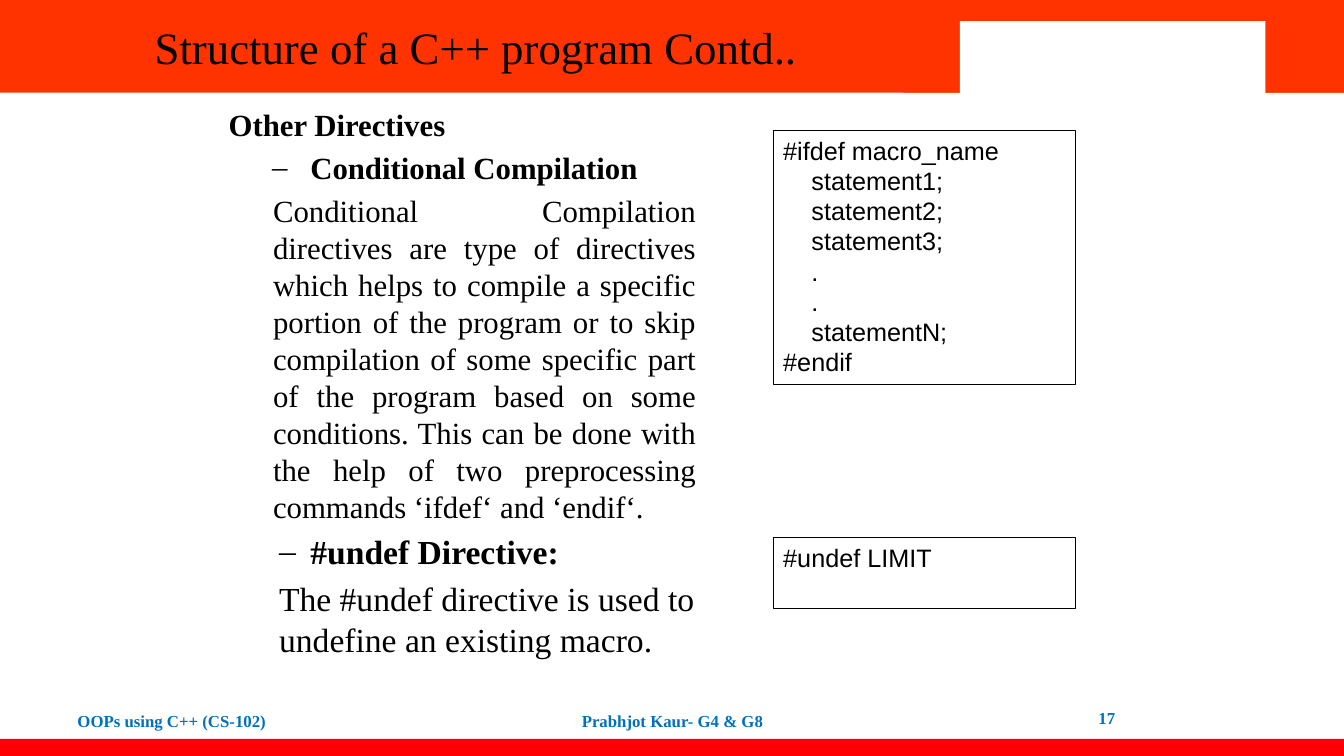
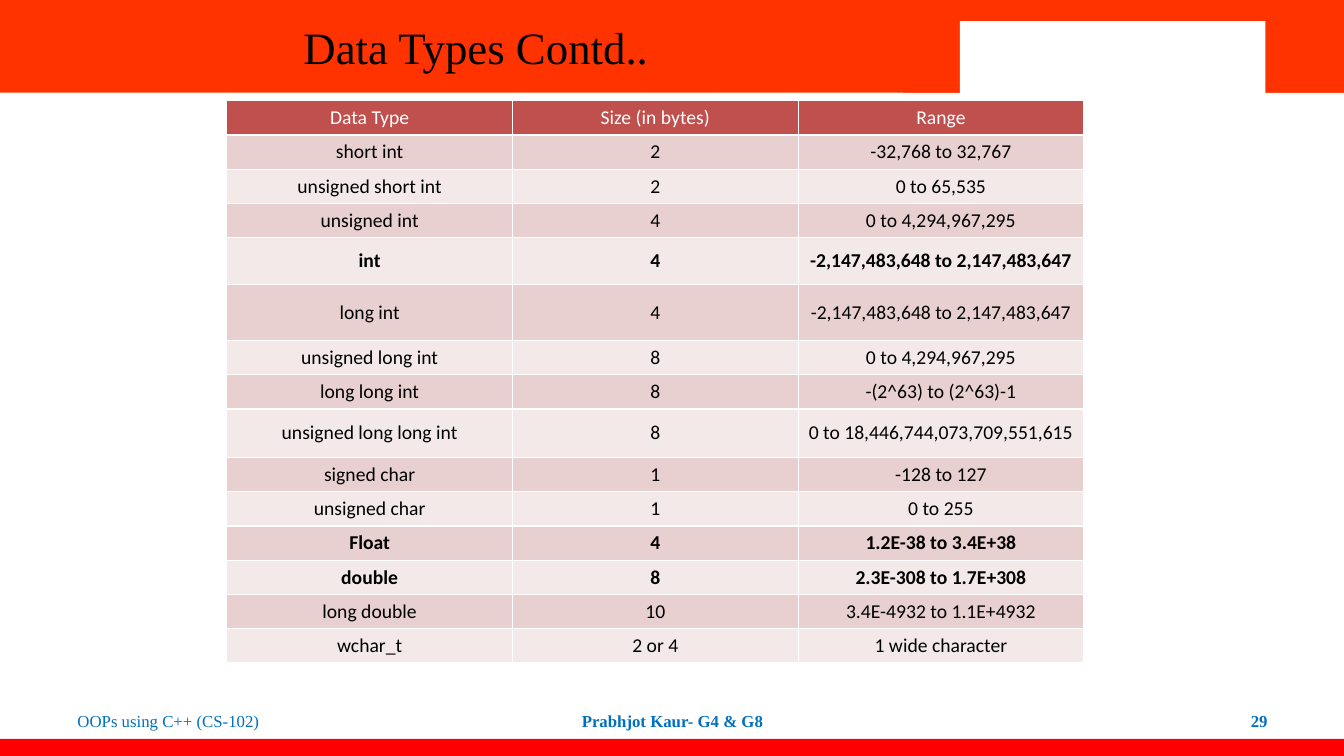
from dataclasses import dataclass
from typing import NamedTuple

from lxml import etree
from pptx import Presentation
from pptx.dml.color import RGBColor
from pptx.enum import shapes, text
from pptx.oxml import ns
from pptx.util import Inches, Pt

BAND = RGBColor(0xFF, 0x33, 0x00)
FOOT_BAND = RGBColor(0xFF, 0x00, 0x00)
WHITE = RGBColor(0xFF, 0xFF, 0xFF)
BLACK = RGBColor(0x00, 0x00, 0x00)
FOOT_TEXT = RGBColor(0x00, 0x70, 0xC0)
HEADER_FILL = RGBColor(0xC0, 0x50, 0x4D)
ROW_FILLS = (RGBColor(0xE8, 0xD0, 0xD0), RGBColor(0xF4, 0xE9, 0xE9))
SERIF, SANS, TABLE_FONT = "Times New Roman", "Arial", "Calibri"

LEFT, CENTER, RIGHT, JUSTIFY = (
    text.PP_ALIGN.LEFT, text.PP_ALIGN.CENTER,
    text.PP_ALIGN.RIGHT, text.PP_ALIGN.JUSTIFY)
TOP, MIDDLE = text.MSO_ANCHOR.TOP, text.MSO_ANCHOR.MIDDLE


class Box(NamedTuple):
    left: float
    top: float
    width: float
    height: float

    def inches(self) -> list:
        return [Inches(side) for side in self]


class Band(NamedTuple):
    box: Box
    color: RGBColor


@dataclass
class Line:
    wording: str
    size: float = 22
    bold: bool = False
    align: text.PP_ALIGN = LEFT
    margin: float = 0
    indent: float = 0
    bullet: str = ""


@dataclass
class Footer:
    wording: str
    box: Box
    align: text.PP_ALIGN
    bold: bool = True


class DataType(NamedTuple):
    name: str
    size: str
    range: str
    height: float = 0.34
    bold: bool = False


BANDS = [
    Band(Box(0, 0, 13.33, 0.92), BAND),
    Band(Box(0, 7.33, 13.33, 0.17), FOOT_BAND),
    Band(Box(8.96, 0, 4.37, 0.92), BAND),
    Band(Box(9.52, 0.21, 3.03, 0.75), WHITE),
]

DIRECTIVES = [
    Line("Other Directives", bold=True, align=JUSTIFY),
    Line("Conditional Compilation", bold=True, align=JUSTIFY,
         margin=0.81, indent=-0.38, bullet="–"),
    Line("Conditional Compilation directives are type of directives which "
         "helps to compile a specific portion of the program or to skip "
         "compilation of some specific part of the program based on some "
         "conditions. This can be done with the help of two preprocessing "
         "commands ‘ifdef‘ and ‘endif‘.", align=JUSTIFY, margin=0.44),
    Line("#undef Directive:", size=24, bold=True,
         margin=0.81, indent=-0.31, bullet="–"),
    Line("The #undef directive is used to undefine an existing macro.",
         size=24, margin=0.5),
]

IFDEF_BODY = ["statement1;", "statement2;", "statement3;", ".", ".", "statementN;"]
IFDEF_CODE = [
    Line("#ifdef macro_name", size=18),
    *[Line(statement, size=18, margin=0.28) for statement in IFDEF_BODY],
    Line("#endif", size=18),
]
UNDEF_CODE = [Line("#undef LIMIT", size=18)]

TABLE_HEAD = DataType("Data Type", "Size (in bytes)", "Range")
DATA_TYPES = [
    DataType("short int", "2", "-32,768 to 32,767"),
    DataType("unsigned short int", "2", "0 to 65,535"),
    DataType("unsigned int", "4", "0 to 4,294,967,295"),
    DataType("int", "4", "-2,147,483,648 to 2,147,483,647", 0.46, True),
    DataType("long int", "4", "-2,147,483,648 to 2,147,483,647", 0.56),
    DataType("unsigned long int", "8", "0 to 4,294,967,295"),
    DataType("long long int", "8", "-(2^63) to (2^63)-1"),
    DataType("unsigned long long int", "8", "0 to 18,446,744,073,709,551,615", 0.48),
    DataType("signed char", "1", "-128 to 127"),
    DataType("unsigned char", "1", "0 to 255"),
    DataType("Float", "4", "1.2E-38 to 3.4E+38", bold=True),
    DataType("double", "8", "2.3E-308 to 1.7E+308", bold=True),
    DataType("long double", "10", "3.4E-4932 to 1.1E+4932"),
    DataType("wchar_t", "2 or 4", "1 wide character"),
]


def write(frame, lines: list[Line], *, font: str, color: RGBColor = BLACK,
          anchor=TOP, gap: float = 0) -> None:
    """Fill a text frame; gap is the space before, as a share of the size."""
    frame.word_wrap = True
    frame.vertical_anchor = anchor
    for index, line in enumerate(lines):
        paragraph = frame.add_paragraph() if index else frame.paragraphs[0]
        paragraph.alignment = line.align
        paragraph.space_before = Pt(line.size * gap)
        run = paragraph.add_run()
        run.text = line.wording
        run.font.name = font
        run.font.size = Pt(line.size)
        run.font.bold = line.bold
        run.font.color.rgb = color
        # Indents and bullets
        properties = paragraph._p.get_or_add_pPr()
        properties.set("marL", str(Inches(line.margin)))
        properties.set("indent", str(Inches(line.indent)))
        if line.bullet:
            etree.SubElement(properties, ns.qn("a:buFont")).set("typeface", font)
            etree.SubElement(properties, ns.qn("a:buChar")).set("char", line.bullet)


def add_rectangle(slide, box: Box, fill: RGBColor | None = None,
                  outline: RGBColor | None = None):
    rectangle = slide.shapes.add_shape(
        shapes.MSO_SHAPE.RECTANGLE, *box.inches())
    rectangle.shadow.inherit = False
    if fill is None:
        rectangle.fill.background()
    else:
        rectangle.fill.solid()
        rectangle.fill.fore_color.rgb = fill
    if outline is None:
        rectangle.line.fill.background()
    else:
        rectangle.line.color.rgb = outline
        rectangle.line.width = Pt(0.75)
    return rectangle


def add_text(slide, box: Box, lines: list[Line], **style) -> None:
    write(slide.shapes.add_textbox(*box.inches()).text_frame, lines, **style)


def add_code(slide, box: Box, lines: list[Line]) -> None:
    listing = add_rectangle(slide, box, outline=BLACK)
    write(listing.text_frame, lines, font=SANS)


def start_slide(deck, heading: str, course_bold: bool, number: Footer):
    """Add a slide with the bands, title and footers every slide shares."""
    slide = deck.slides.add_slide(deck.slide_layouts[5])
    for band in BANDS:
        add_rectangle(slide, band.box, fill=band.color)

    # Title, brought in front of the bands
    title = slide.shapes.title
    title.left, title.top, title.width, title.height = Box(0, 0, 9.44, 0.92).inches()
    write(title.text_frame, [Line(heading, size=32, align=CENTER)],
          font=SERIF, anchor=MIDDLE)
    title.element.getparent().append(title.element)

    footers = [
        Footer("OOPs using C++ (CS-102)", Box(0.67, 6.95, 3.11, 0.4), LEFT, course_bold),
        Footer("Prabhjot Kaur- G4 & G8", Box(4.56, 6.95, 4.22, 0.4), CENTER),
        number,
    ]
    for footer in footers:
        line = Line(footer.wording, size=12, bold=footer.bold, align=footer.align)
        add_text(slide, footer.box, [line], font=SERIF, color=FOOT_TEXT, anchor=MIDDLE)
    return slide


def add_border(cell, side: str) -> None:
    border = etree.SubElement(cell._tc.get_or_add_tcPr(), ns.qn(f"a:{side}"))
    border.set("w", str(Pt(1)))
    fill = etree.SubElement(border, ns.qn("a:solidFill"))
    etree.SubElement(fill, ns.qn("a:srgbClr")).set("val", str(WHITE))


def add_type_table(slide, box: Box) -> None:
    rows = [TABLE_HEAD, *DATA_TYPES]
    table = slide.shapes.add_table(len(rows), 3, *box.inches()).table
    for column in table.columns:
        column.width = Inches(box.width / 3)
    for index, entry in enumerate(rows):
        table.rows[index].height = Inches(entry.height)
        is_head = index == 0
        for column, wording in enumerate((entry.name, entry.size, entry.range)):
            cell = table.cell(index, column)
            write(cell.text_frame,
                  [Line(wording, size=14, bold=entry.bold, align=CENTER)],
                  font=TABLE_FONT, color=WHITE if is_head else BLACK)
            cell.vertical_anchor = MIDDLE
            # Borders come before the fill in the cell properties
            for side in ("lnL", "lnR", "lnT", "lnB"):
                add_border(cell, side)
            cell.fill.solid()
            cell.fill.fore_color.rgb = HEADER_FILL if is_head else ROW_FILLS[(index - 1) % 2]


def main() -> None:
    deck = Presentation()
    deck.slide_width, deck.slide_height = Inches(13.33), Inches(7.5)

    # Preprocessor directives
    directives = start_slide(deck, "Structure of a C++ program Contd..", True,
                             Footer("17", Box(8.83, 6.92, 2.33, 0.4), RIGHT))
    add_text(directives, Box(2.17, 1, 4.83, 5.67), DIRECTIVES, font=SERIF, gap=0.2)
    add_code(directives, Box(7.67, 1.29, 3, 2.52), IFDEF_CODE)
    add_code(directives, Box(7.67, 5.33, 3, 0.71), UNDEF_CODE)

    # Data types
    data_types = start_slide(deck, "Data Types Contd..", False,
                             Footer("29", Box(9.56, 6.95, 3.11, 0.4), RIGHT))
    add_type_table(data_types, Box(2.25, 1, 8.5, 5.5))

    deck.save("out.pptx")


if __name__ == "__main__":
    main()
